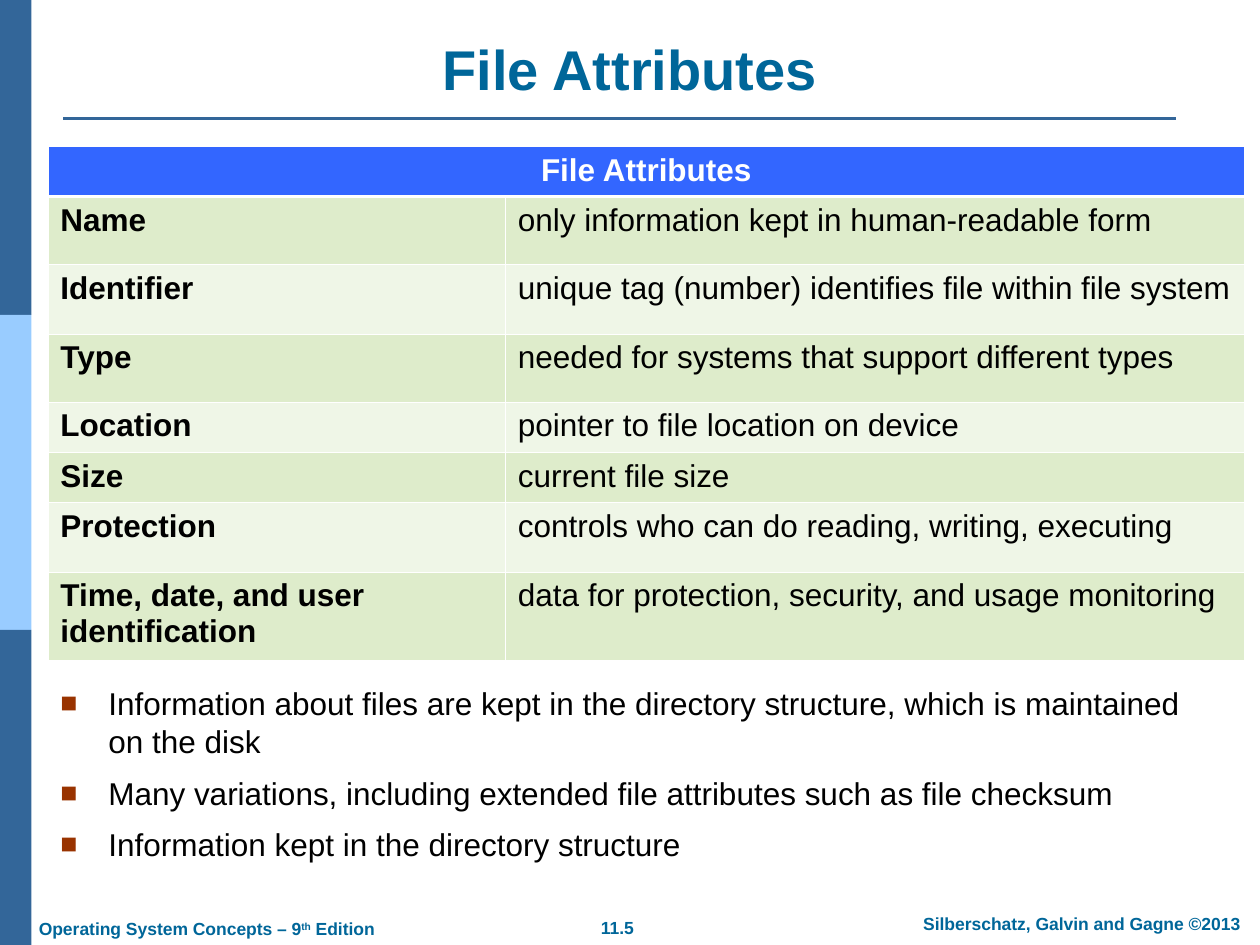
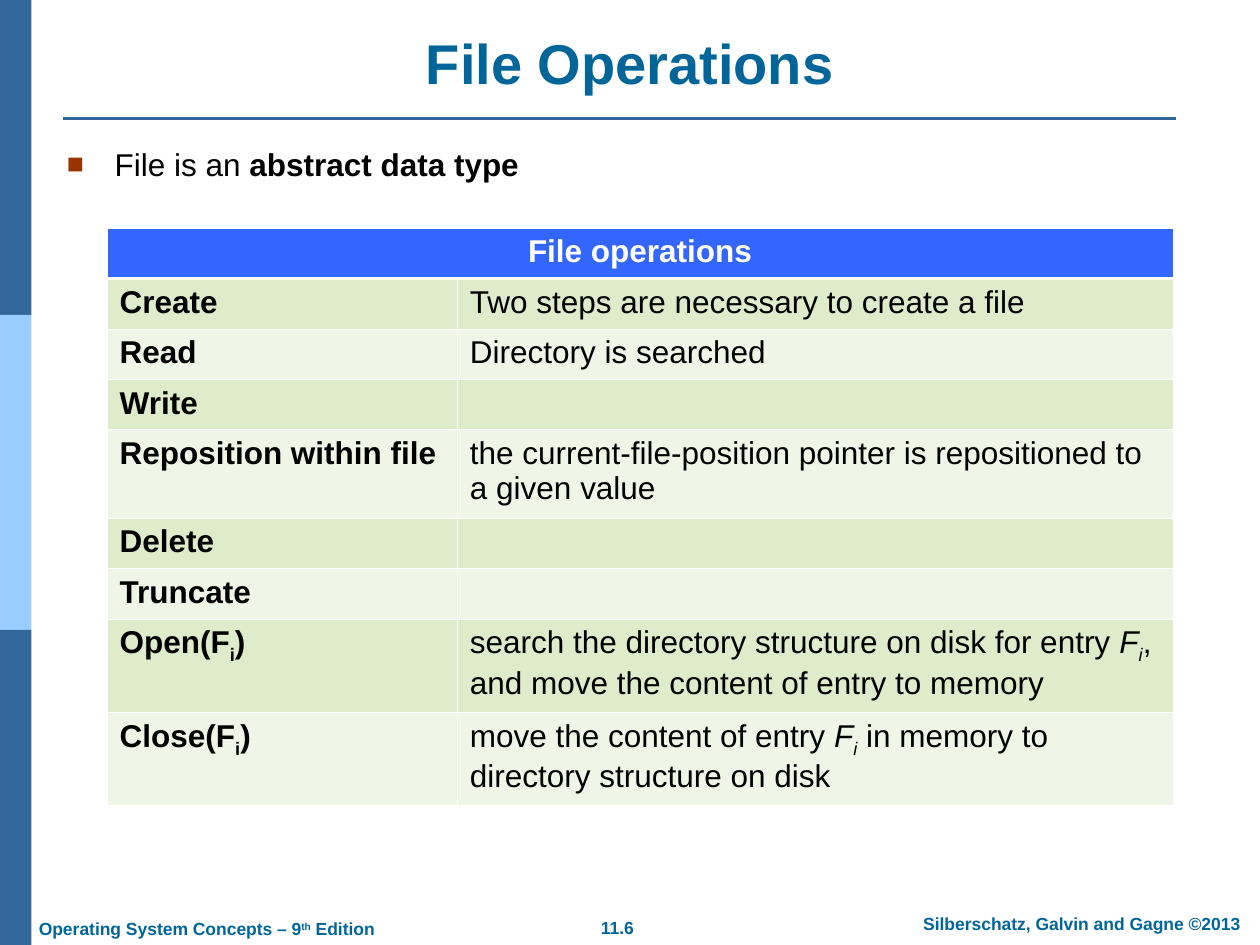
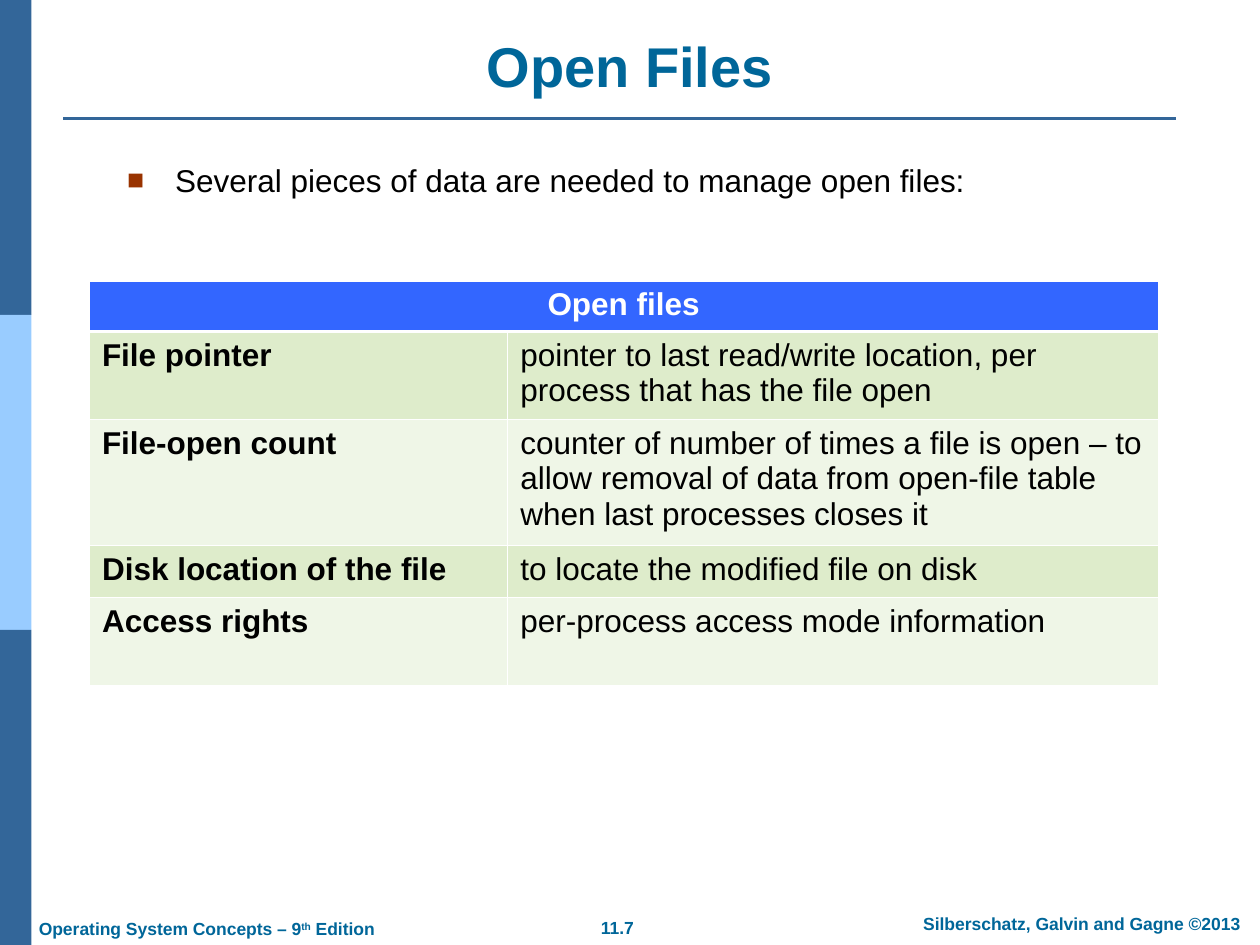
import dataclasses

import lxml.etree
import pptx
import pptx.dml.color
import pptx.enum.shapes
import pptx.enum.text
import pptx.oxml.ns
import pptx.util

Inches = pptx.util.Inches
Pt = pptx.util.Pt
qn = pptx.oxml.ns.qn
Align = pptx.enum.text.PP_ALIGN

FONT = "Arial"
NAVY = "336699"
SKY = "99CCFF"
TEAL = "006699"
BULLET = "993300"
HEADER_FILL = "3366FF"
ROW_FILLS = ("DEECCB", "EFF6E7")
WHITE = "FFFFFF"
BLACK = "000000"
THIN, THICK = 0.45, 1.47


@dataclasses.dataclass
class Span:
    """A piece of text that differs from its neighbours; baseline is in percent."""
    text: str
    bold: bool = False
    italic: bool = False
    baseline: int = 0


def color(hex_string):
    return pptx.dml.color.RGBColor.from_string(hex_string)


def add_text(paragraph, content, size, hex_color, bold=False):
    """Add a string, or a list of strings and Spans, run by run."""
    for part in [content] if isinstance(content, str) else content:
        span = Span(part) if isinstance(part, str) else part
        run = paragraph.add_run()
        run.text = span.text
        run.font.name = FONT
        run.font.size = Pt(size)
        run.font.bold = bold or span.bold
        run.font.italic = span.italic
        run.font.color.rgb = color(hex_color)
        if span.baseline:
            run.font._element.set("baseline", str(span.baseline * 1000))


def place(shape, box):
    shape.left, shape.top, shape.width, shape.height = map(Inches, box)


def add_side_bands(slide):
    height = 2.5
    for index, fill in enumerate((NAVY, SKY, NAVY)):
        band = slide.shapes.add_shape(
            pptx.enum.shapes.MSO_SHAPE.RECTANGLE,
            0, Inches(index * height), Inches(0.25), Inches(height))
        band.shadow.inherit = False
        band.fill.solid()
        band.fill.fore_color.rgb = color(fill)
        band.line.fill.background()


def add_title_rule(slide):
    rule = slide.shapes.add_connector(
        pptx.enum.shapes.MSO_CONNECTOR.STRAIGHT,
        Inches(0.5), Inches(0.94), Inches(9.33), Inches(0.94))
    rule.line.color.rgb = color(NAVY)
    rule.line.width = Pt(1.5)
    lxml.etree.SubElement(rule._element.spPr, qn("a:effectLst"))


def add_footer(slide, page):
    edition = ["Operating System Concepts – 9", Span("th", baseline=30), " Edition"]
    for content, box, alignment in (
        (page, (4.37, 7.23, 1.06, 0.27), Align.CENTER),
        ("Silberschatz, Galvin and Gagne ©2013", (7.1, 7.2, 2.97, 0.27), Align.CENTER),
        (edition, (0.21, 7.24, 3, 0.27), Align.LEFT),
    ):
        frame = slide.shapes.add_textbox(*map(Inches, box)).text_frame
        frame.word_wrap = True
        paragraph = frame.paragraphs[0]
        paragraph.alignment = alignment
        add_text(paragraph, content, 10, TEAL, bold=True)


def fill_title(slide, text, top):
    title = slide.shapes.title
    place(title, (0.5, top, 9, 0.63))
    frame = title.text_frame
    frame.auto_size = pptx.enum.text.MSO_AUTO_SIZE.NONE
    frame.vertical_anchor = pptx.enum.text.MSO_ANCHOR.BOTTOM
    paragraph = frame.paragraphs[0]
    paragraph.alignment = Align.CENTER
    add_text(paragraph, text, 32, TEAL, bold=True)


def set_square_bullet(paragraph):
    properties = paragraph._p.get_or_add_pPr()
    indent = Inches(0.38)
    properties.set("marL", str(indent))
    properties.set("indent", str(-indent))
    bullet_color = lxml.etree.SubElement(properties, qn("a:buClr"))
    lxml.etree.SubElement(bullet_color, qn("a:srgbClr"), val=BULLET)
    lxml.etree.SubElement(properties, qn("a:buSzPct"), val="90000")
    lxml.etree.SubElement(properties, qn("a:buFont"), typeface=FONT)
    lxml.etree.SubElement(properties, qn("a:buChar"), char="■")


def fill_bullets(slide, items, box):
    body = slide.placeholders[1]
    place(body, box)
    frame = body.text_frame
    frame.auto_size = pptx.enum.text.MSO_AUTO_SIZE.NONE
    for index, item in enumerate(items):
        paragraph = frame.add_paragraph() if index else frame.paragraphs[0]
        set_square_bullet(paragraph)
        paragraph.space_before = Pt(7.9 if index else 0)
        add_text(paragraph, item, 18, BLACK)


def style_cell(cell, fill, top=THIN, bottom=THIN):
    """Give a cell white borders, of the given widths in points, and a fill."""
    properties = cell._tc.get_or_add_tcPr()
    for side, width in (("L", THIN), ("R", THIN), ("T", top), ("B", bottom)):
        border = lxml.etree.SubElement(properties, qn(f"a:ln{side}"), w=str(Pt(width)))
        solid = lxml.etree.SubElement(border, qn("a:solidFill"))
        lxml.etree.SubElement(solid, qn("a:srgbClr"), val=WHITE)
    cell.fill.solid()
    cell.fill.fore_color.rgb = color(fill)


def add_definition_table(slide, heading, entries, left, top, widths, heights):
    """Add a table with a heading across it and a bold term on each row."""
    table = slide.shapes.add_table(
        len(heights), len(widths), Inches(left), Inches(top),
        Inches(sum(widths)), Inches(sum(heights))).table
    for column, width in zip(table.columns, widths):
        column.width = Inches(width)
    for row, height in zip(table.rows, heights):
        row.height = Inches(height)

    header = table.cell(0, 0)
    header.merge(table.cell(0, 1))
    for cell in table.rows[0].cells:
        style_cell(cell, HEADER_FILL, bottom=THICK)
    paragraph = header.text_frame.paragraphs[0]
    paragraph.alignment = Align.CENTER
    add_text(paragraph, heading, 18, WHITE, bold=True)

    for row_index, entry in enumerate(entries, 1):
        for column_index, content in enumerate(entry):
            cell = table.cell(row_index, column_index)
            style_cell(cell, ROW_FILLS[(row_index - 1) % 2],
                       top=THICK if row_index == 1 else THIN)
            if content:
                add_text(cell.text_frame.paragraphs[0], content, 18, BLACK,
                         bold=column_index == 0)


def add_base_slide(presentation, title, title_top, page):
    slide = presentation.slides.add_slide(presentation.slide_layouts[1])
    add_side_bands(slide)
    add_title_rule(slide)
    add_footer(slide, page)
    fill_title(slide, title, title_top)
    return slide


def add_file_attributes(presentation):
    slide = add_base_slide(presentation, "File Attributes", 0.23, "11.5")
    fill_bullets(slide, [
        "Information about files are kept in the directory structure, "
        "which is maintained on the disk",
        "Many variations, including extended file attributes such as file checksum",
        "Information kept in the directory structure",
    ], (0.38, 5.38, 9.42, 1.5))
    add_definition_table(slide, "File Attributes", [
        ("Name", "only information kept in human-readable form"),
        ("Identifier", "unique tag (number) identifies file within file system"),
        ("Type", "needed for systems that support different types"),
        ("Location", "pointer to file location on device"),
        ("Size", "current file size"),
        ("Protection", "controls who can do reading, writing, executing"),
        ("Time, date, and user identification",
         "data for protection, security, and usage monitoring"),
    ], 0.38, 1.16, (3.63, 5.87), (0.4, 0.54, 0.55, 0.54, 0.4, 0.4, 0.55, 0.7))


def add_file_operations(presentation):
    slide = add_base_slide(presentation, "File Operations", 0.18, "11.6")
    fill_bullets(slide, [["File is an ", Span("abstract data type", bold=True)]],
                 (0.43, 1.1, 9.28, 5.06))
    subscript = Span("i", baseline=-25)
    file_entry = [Span("F", italic=True), Span("i", italic=True, baseline=-25)]
    add_definition_table(slide, "File operations", [
        ("Create", "Two steps are necessary to create a file"),
        ("Read", "Directory is searched"),
        ("Write", ""),
        ("Reposition within file",
         "the current-file-position pointer is repositioned to a given value"),
        ("Delete", ""),
        ("Truncate", ""),
        (["Open(F", subscript, ")"],
         ["search the directory structure on disk for entry ", *file_entry,
          ", and move the content of entry to memory"]),
        (["Close(F", subscript, ")"],
         ["move the content of entry ", *file_entry,
          " in memory to directory structure on disk"]),
    ], 0.85, 1.81, (2.78, 5.68), (0.4, 0.4, 0.4, 0.4, 0.7, 0.4, 0.4, 0.74, 0.74))


def add_open_files(presentation):
    slide = add_base_slide(presentation, "Open Files", 0.2, "11.7")
    fill_bullets(slide, ["Several pieces of data are needed to manage open files:"],
                 (0.91, 1.23, 7.44, 0.81))
    add_definition_table(slide, "Open files", [
        ("File pointer",
         "pointer to last read/write location, per process that has the file open"),
        ("File-open count",
         "counter of number of times a file is open – to allow removal of data "
         "from open-file table when last processes closes it"),
        ("Disk location of the file", "to locate the modified file on disk"),
        ("Access rights", "per-process access mode information"),
    ], 0.71, 2.23, (3.32, 5.16), (0.4, 0.7, 1, 0.41, 0.7))


def main():
    presentation = pptx.Presentation()
    presentation.slide_width = Inches(10)
    presentation.slide_height = Inches(7.5)
    add_file_attributes(presentation)
    add_file_operations(presentation)
    add_open_files(presentation)
    presentation.save("out.pptx")


if __name__ == "__main__":
    main()
